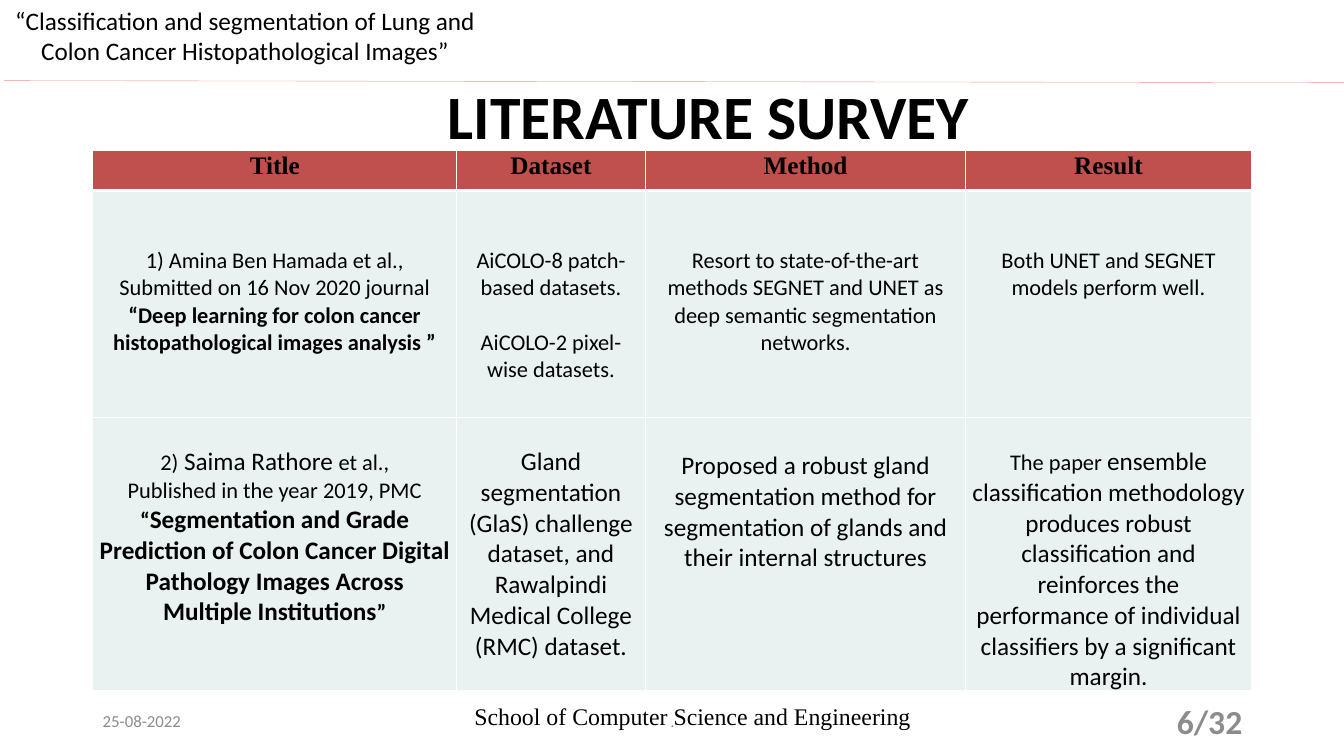
import pptx
import pptx.util
import pptx.dml.color
import pptx.enum.shapes
import pptx.enum.text
import pptx.oxml
import pptx.oxml.ns

Inches = pptx.util.Inches
Pt = pptx.util.Pt
ALIGN = {
    "left": pptx.enum.text.PP_ALIGN.LEFT,
    "center": pptx.enum.text.PP_ALIGN.CENTER,
    "right": pptx.enum.text.PP_ALIGN.RIGHT,
}
HEX = {"ink": "000000", "grey": "8C8C8C", "rule": "E4948A",
       "head": "C0504D", "body": "EAF1F1", "edge": "FFFFFF"}


def color(name):
    return pptx.dml.color.RGBColor.from_string(HEX[name])


def write(frame, text, size=16, font="Calibri", ink="ink", bold=False,
          align="center", line=None, gap=0):
    """Text is a string, or a list of paragraphs; each paragraph is a string
    or a list of (text, format) runs. Gap is the space between paragraphs."""
    frame.word_wrap = True
    paras = [text] if isinstance(text, str) else text
    for i, para in enumerate(paras):
        p = frame.paragraphs[0] if i == 0 else frame.add_paragraph()
        p.alignment = ALIGN[align]
        if line:
            p.line_spacing = line
        if i and gap:
            p.space_before = Pt(gap)
        for words, style in [(para, {})] if isinstance(para, str) else para:
            run = p.add_run()
            run.text = words
            run.font.name = style.get("font", font)
            run.font.size = Pt(style.get("size", size))
            run.font.bold = style.get("bold", bold)
            run.font.color.rgb = color(style.get("ink", ink))


class Deck:
    def __init__(self):
        self.show = pptx.Presentation()
        self.show.slide_width = Inches(13.33)
        self.show.slide_height = Inches(7.5)
        self.slide = self.show.slides.add_slide(self.show.slide_layouts[5])

    def title(self, text, x, y, w, h, **style):
        box = self.slide.shapes.title
        box.left, box.top, box.width, box.height = map(Inches, (x, y, w, h))
        frame = box.text_frame
        frame.auto_size = pptx.enum.text.MSO_AUTO_SIZE.NONE
        frame.vertical_anchor = pptx.enum.text.MSO_ANCHOR.MIDDLE
        write(frame, text, **style)

    def label(self, text, x, y, w, h, anchor="MIDDLE", **style):
        box = self.slide.shapes.add_textbox(*map(Inches, (x, y, w, h)))
        box.text_frame.vertical_anchor = pptx.enum.text.MSO_ANCHOR[anchor]
        write(box.text_frame, text, **style)

    def rule(self, x1, y1, x2, y2, ink, width):
        line = self.slide.shapes.add_connector(
            pptx.enum.shapes.MSO_CONNECTOR.STRAIGHT,
            *map(Inches, (x1, y1, x2, y2)))
        line.line.color.rgb = color(ink)
        line.line.width = Pt(width)
        props = line._element.spPr
        props.append(props.makeelement(pptx.oxml.ns.qn("a:effectLst"), {}))

    def border(self, cell, **widths):
        props = cell._tc.get_or_add_tcPr()
        for side in "LRTB":
            props.append(pptx.oxml.parse_xml(
                f'<a:ln{side} {pptx.oxml.ns.nsdecls("a")} '
                f'w="{Pt(widths.get(side, 0.8))}"><a:solidFill>'
                f'<a:srgbClr val="{HEX["edge"]}"/></a:solidFill></a:ln{side}>'))

    def table(self, x, y, cols, rows, heads, body):
        grid = self.slide.shapes.add_table(
            len(rows), len(cols), Inches(x), Inches(y),
            Inches(sum(cols)), Inches(sum(rows))).table
        for col, width in zip(grid.columns, cols):
            col.width = Inches(width)
        for row, height in zip(grid.rows, rows):
            row.height = Inches(height)
        for c, head in enumerate(heads):
            self.cell(grid.cell(0, c), head, "head", {"B": 2.4},
                      size=18, font="Times New Roman", bold=True)
        for r, row in enumerate(body, 1):
            edges = {"T": 2.4} if r == 1 else {}
            for c, (text, style) in enumerate(row):
                self.cell(grid.cell(r, c), text, "body", edges, **style)

    def cell(self, cell, text, fill, edges, top=0.02, **style):
        self.border(cell, **edges)
        cell.fill.solid()
        cell.fill.fore_color.rgb = color(fill)
        cell.margin_left = cell.margin_right = Inches(0.06)
        cell.margin_top, cell.margin_bottom = Inches(top), Inches(0.02)
        write(cell.text_frame, text, **style)


BOLD = {"bold": True}
LARGE = {"size": 18}
HEADS = ["Title", "Dataset", "Method", "Result"]
FIRST = {"top": 0.56}
NEXT = {"top": 0.29}
PAPERS = [
    [
        (["1) Amina Ben Hamada et al.,",
          "Submitted on 16 Nov 2020 journal",
          [("“Deep learning for colon cancer histopathological "
            "images analysis ”", BOLD)]], FIRST),
        (["AiCOLO-8 patch-based datasets.",
          "AiCOLO-2 pixel-wise datasets."], {**FIRST, "gap": 19.5}),
        ("Resort to state-of-the-art methods SEGNET and UNET as deep "
         "semantic segmentation networks.", FIRST),
        ("Both UNET and SEGNET models perform well.", FIRST),
    ],
    [
        ([[("2)", {}), (" Saima Rathore ", LARGE), ("et al.,", {})],
          "Published in the year 2019, PMC",
          [("“", BOLD),
           ("Segmentation and Grade Prediction of Colon Cancer Digital "
            "Pathology Images Across Multiple Institutions",
            {**BOLD, **LARGE}),
           ("”", BOLD)]], NEXT),
        ("Gland segmentation (GlaS) challenge dataset, and Rawalpindi "
         "Medical College (RMC) dataset.", {**NEXT, **LARGE}),
        ("Proposed a robust gland segmentation method for segmentation of "
         "glands and their internal structures", {**LARGE, "top": 0.33}),
        ([[("The paper ", {}),
           ("ensemble classification methodology produces robust "
            "classification and reinforces the performance of individual "
            "classifiers by a significant margin.", LARGE)]], NEXT),
    ],
]


def main():
    deck = Deck()
    # Header
    deck.title("LITERATURE SURVEY", 1.28, 0.78, 11.5, 0.81,
               size=44, bold=True, line=0.9)
    deck.rule(0.04, 0.8, 13.33, 0.82, "rule", 0.25)
    deck.label("“Classification and segmentation of Lung and Colon Cancer "
               "Histopathological Images”", 0, 0, 4.86, 0.71,
               anchor="TOP", size=18)
    # Footer
    deck.label("School of Computer Science and Engineering",
               4.58, 6.95, 4.58, 0.3, size=17, font="Times New Roman")
    deck.label("25-08-2022", 0.92, 6.95, 3, 0.4,
               size=12, ink="grey", align="left")
    deck.label(".", 4.42, 6.95, 4.5, 0.4, size=12, ink="grey")
    deck.label("6/32", 9.42, 6.95, 3, 0.4,
               size=24, ink="grey", bold=True, align="right")
    # Survey table
    deck.table(0.92, 1.49, [3.61, 1.87, 3.18, 2.83], [0.4, 2.25, 2.7],
               HEADS, PAPERS)
    deck.show.save("out.pptx")


if __name__ == "__main__":
    main()
